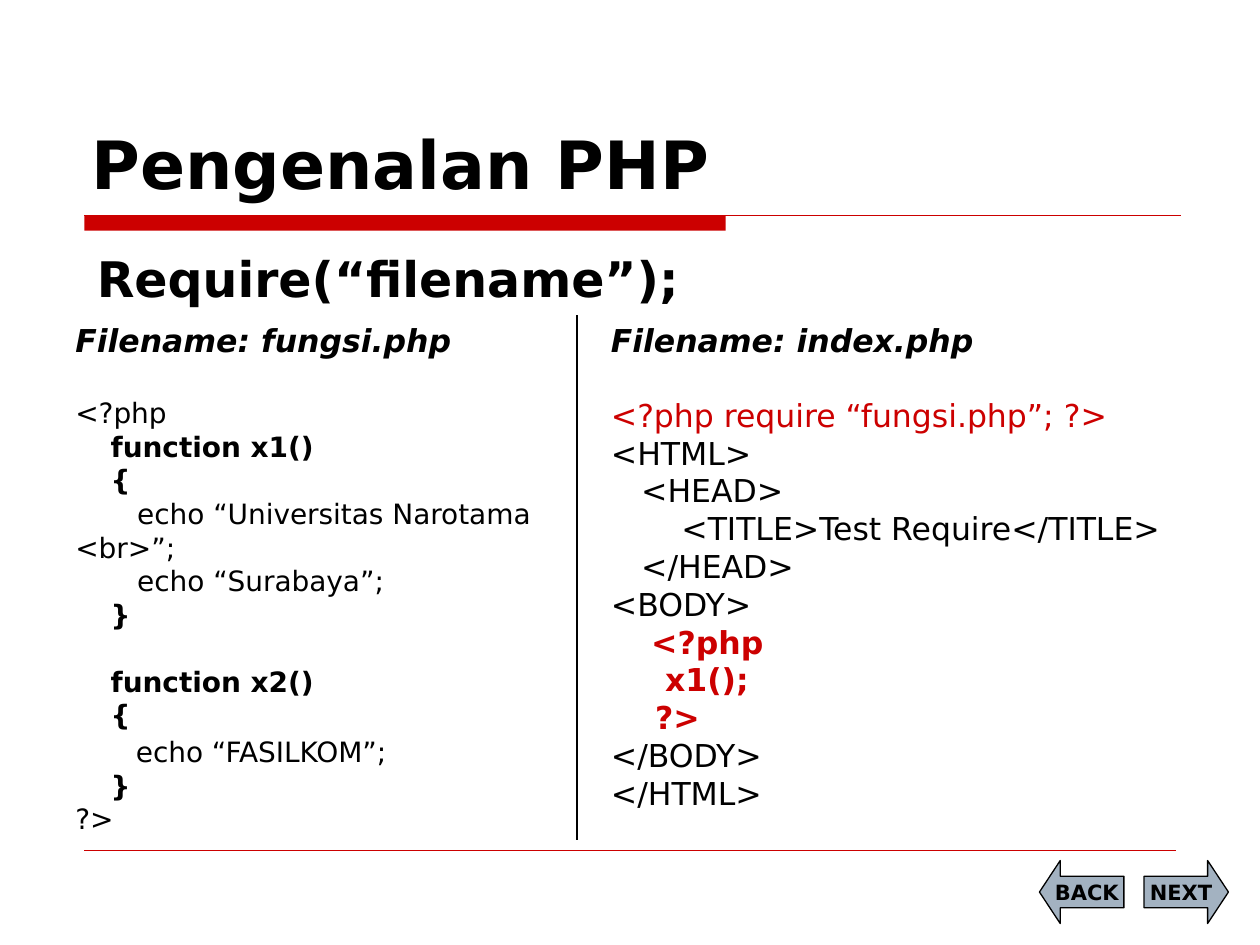
from pptx import Presentation
from pptx.dml.color import RGBColor
from pptx.enum.shapes import MSO_CONNECTOR, MSO_SHAPE
from pptx.enum.text import MSO_ANCHOR, PP_ALIGN
from pptx.oxml.ns import qn
from pptx.util import Inches, Pt

STRAIGHT = MSO_CONNECTOR.STRAIGHT
RECTANGLE, LEFT_ARROW, RIGHT_ARROW = (
    MSO_SHAPE.RECTANGLE, MSO_SHAPE.LEFT_ARROW, MSO_SHAPE.RIGHT_ARROW)
TOP, MIDDLE, BOTTOM = MSO_ANCHOR.TOP, MSO_ANCHOR.MIDDLE, MSO_ANCHOR.BOTTOM
CENTER = PP_ALIGN.CENTER

FONT = "DejaVu Sans"
BLACK, RED, STEEL = "000000", "CC0000", "A3B2C1"

# Code lines: text, first-line indent in inches, format
FUNGSI_CODE = [
    ("<?php", 0, {}),
    ("function x1()", 0.28, {"bold": True}),
    ("{", 0.28, {"bold": True}),
    ("echo “Universitas Narotama <br>”;", 0.49, {}),
    ("echo “Surabaya”;", 0.49, {}),
    ("}", 0.28, {"bold": True}),
    ("function x2()", 0.28, {"bold": True, "before": 19}),
    ("{", 0.28, {"bold": True}),
    ("echo “FASILKOM”;", 0.48, {"before": 2}),
    ("}", 0.28, {"bold": True}),
    ("?>", 0, {}),
]
INDEX_CODE = [
    ("<?php require “fungsi.php”; ?>", 0, {"color": RED}),
    ("<HTML>", 0, {}),
    ("<HEAD>", 0.24, {}),
    ("<TITLE>Test Require</TITLE>", 0.56, {}),
    ("</HEAD>", 0.24, {}),
    ("<BODY>", 0, {}),
    ("<?php", 0.32, {"color": RED, "bold": True}),
    ("x1();", 0.43, {"color": RED, "bold": True}),
    ("?>", 0.35, {"color": RED, "bold": True}),
    ("</BODY>", 0, {}),
    ("</HTML>", 0, {}),
]


def rgb(value):
    return RGBColor.from_string(value)


def write(paragraph, text, size=18, color=BLACK, bold=False, italic=False,
          indent=0, before=0, after=0, align=None):
    paragraph.alignment = align
    paragraph.space_before, paragraph.space_after = Pt(before), Pt(after)
    if indent:
        properties = paragraph._p.get_or_add_pPr()
        properties.set("marL", "0")
        properties.set("indent", str(Inches(indent)))
    run = paragraph.add_run()
    run.text = text
    font = run.font
    font.name, font.size = FONT, Pt(size)
    font.bold, font.italic = bold, italic
    font.color.rgb = rgb(color)


def add_text_area(slide, left, top, width, height, anchor=TOP):
    box = slide.shapes.add_textbox(
        Inches(left), Inches(top), Inches(width), Inches(height))
    frame = box.text_frame
    frame.word_wrap = True
    frame.vertical_anchor = anchor
    return frame


def add_rule(slide, x1, y1, x2, y2, color, weight):
    rule = slide.shapes.add_connector(
        STRAIGHT, Inches(x1), Inches(y1), Inches(x2), Inches(y2))
    rule.line.color.rgb = rgb(color)
    rule.line.width = Pt(weight)
    properties = rule._element.spPr
    properties.append(properties.makeelement(qn("a:effectLst"), {}))


def add_filled(slide, kind, left, top, width, height, fill, outline=None):
    shape = slide.shapes.add_shape(
        kind, Inches(left), Inches(top), Inches(width), Inches(height))
    shape.shadow.inherit = False
    shape.fill.solid()
    shape.fill.fore_color.rgb = rgb(fill)
    if outline:
        shape.line.color.rgb = rgb(outline)
        shape.line.width = Pt(0.75)
    else:
        shape.line.fill.background()
    return shape


def add_nav_arrow(slide, kind, left, label):
    arrow = add_filled(slide, kind, left, 6.83, 0.67, 0.5, STEEL, BLACK)
    arrow.adjustments[0], arrow.adjustments[1] = 0.5, 0.33
    frame = arrow.text_frame
    frame.word_wrap = False
    frame.vertical_anchor = MIDDLE
    write(frame.paragraphs[0], label, size=12, bold=True, align=CENTER)


def add_listing(slide, left, width, height, heading, code, size):
    frame = add_text_area(slide, left, 2.5, width, height)
    write(frame.paragraphs[0], heading, bold=True, italic=True, after=21)
    for text, indent, style in code:
        write(frame.add_paragraph(), text, size=size, indent=indent, **style)


def main():
    deck = Presentation()
    deck.slide_width, deck.slide_height = Inches(10), Inches(7.5)
    slide = deck.slides.add_slide(deck.slide_layouts[6])

    # Red bar under the title and thin footer rule
    add_filled(slide, RECTANGLE, 0.67, 1.71, 5.09, 0.12, RED)
    add_rule(slide, 0.67, 1.71, 9.37, 1.71, RED, 0.75)
    add_rule(slide, 0.67, 6.75, 9.33, 6.75, RED, 0.25)

    # Title and topic
    title = add_text_area(slide, 0.63, 0.33, 8.75, 1.33, BOTTOM)
    write(title.paragraphs[0], "Pengenalan PHP", size=38, bold=True)
    topic = add_text_area(slide, 0.67, 1.92, 8.62, 0.58)
    write(topic.paragraphs[0], "Require(“filename”);", size=28, bold=True)

    # Two source files side by side
    add_rule(slide, 4.58, 2.5, 4.58, 6.67, BLACK, 0.75)
    add_listing(slide, 0.5, 4.08, 4.2, "Filename: fungsi.php", FUNGSI_CODE, 16)
    add_listing(slide, 4.75, 5.25, 4, "Filename: index.php", INDEX_CODE, 18)

    # Navigation
    add_nav_arrow(slide, LEFT_ARROW, 8.25, "BACK")
    add_nav_arrow(slide, RIGHT_ARROW, 9.08, "NEXT")

    deck.save("out.pptx")


if __name__ == "__main__":
    main()
